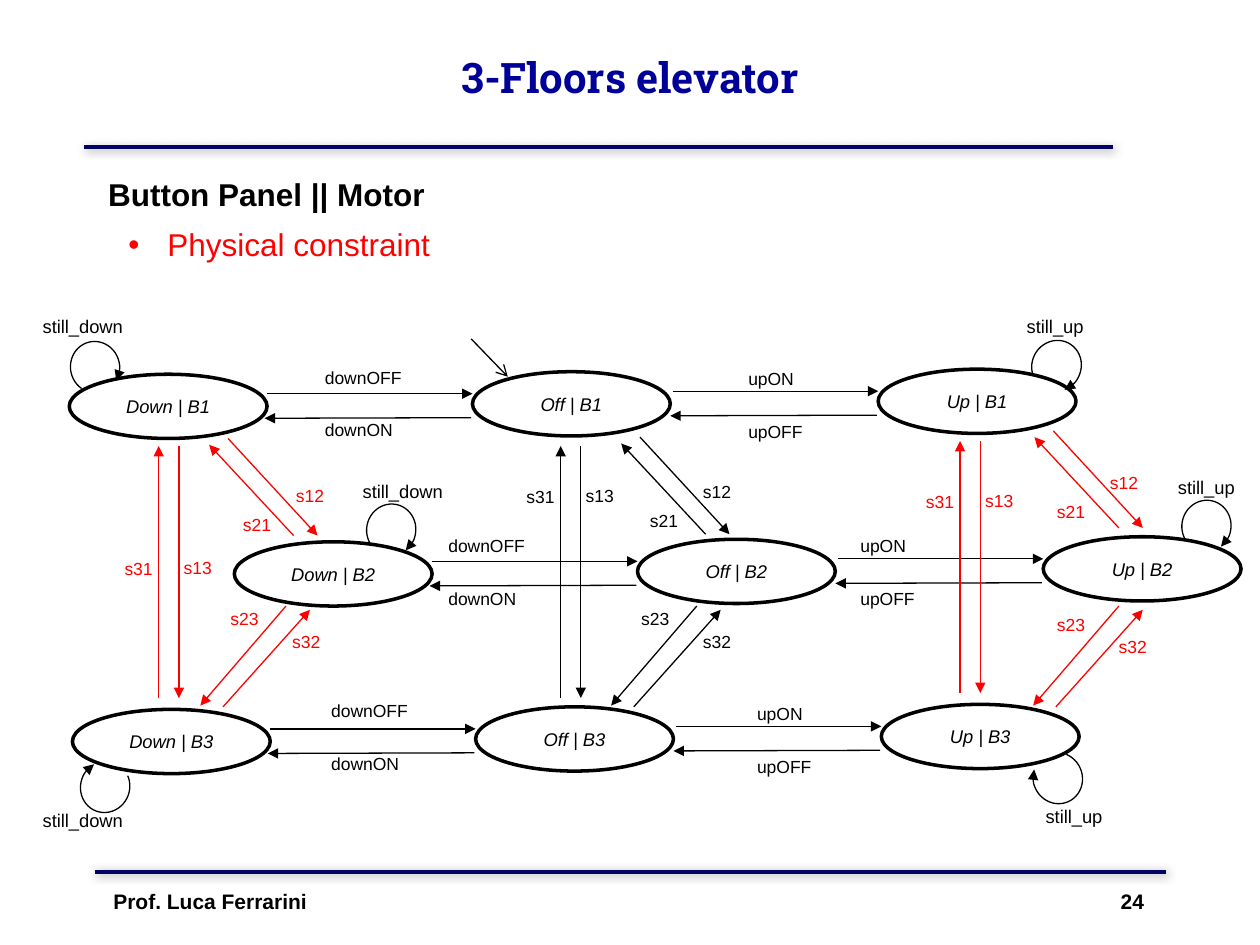
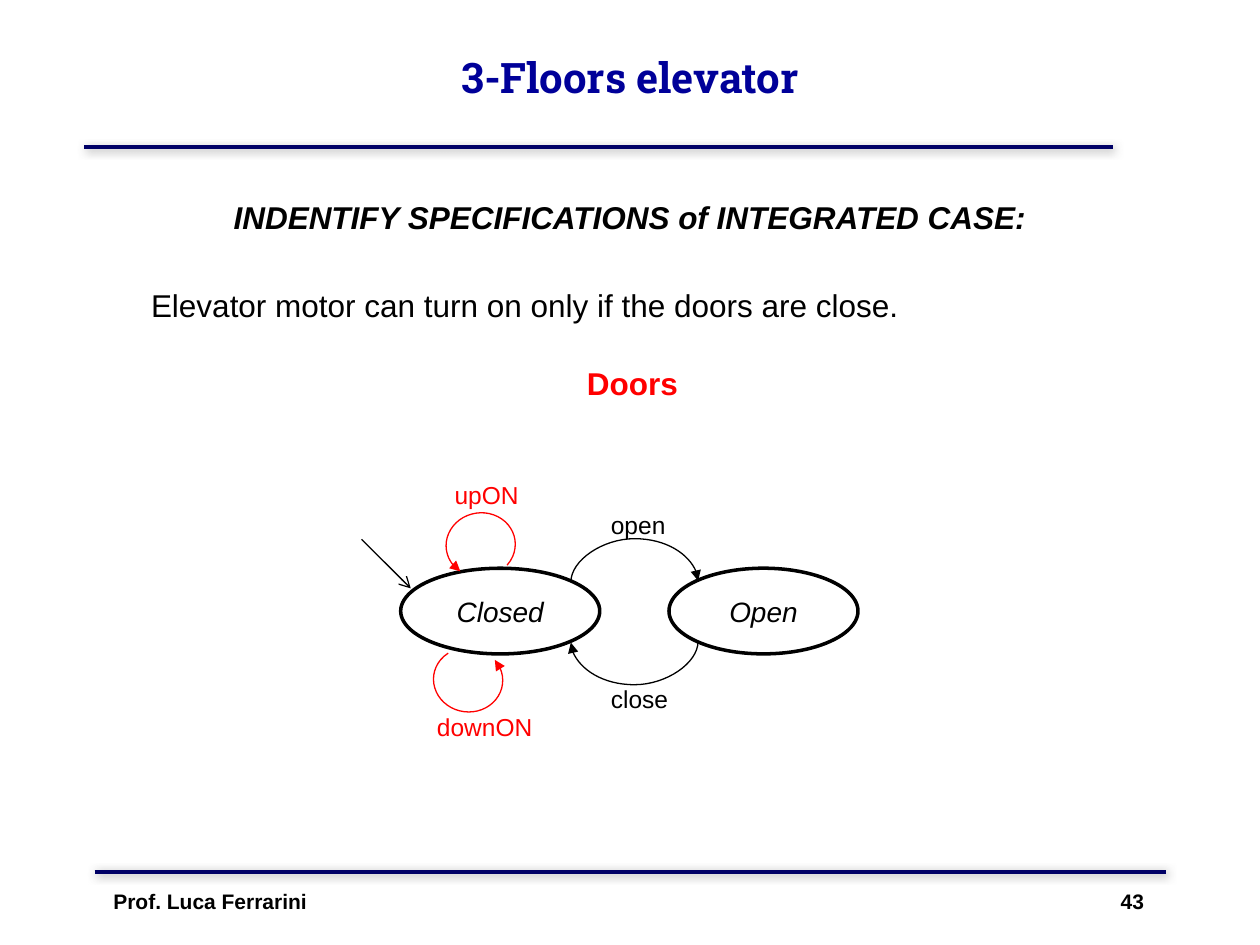
from lxml.etree import SubElement
from pptx import Presentation
from pptx.dml.color import RGBColor
from pptx.enum.shapes import MSO_CONNECTOR as Connector, MSO_SHAPE as Preset
from pptx.enum.text import MSO_ANCHOR as Anchor, PP_ALIGN as Align
from pptx.oxml.ns import qn
from pptx.util import Inches, Pt

WIDTH, HEIGHT = Inches(10), Inches(7.5)
COLUMNS, ROWS = 100, 75
BLACK, RED, WHITE = "000000", "FF0000", "FFFFFF"
NAVY, TITLE_BLUE, GREY = "000066", "000099", "808080"
BODY_FONT, TITLE_FONT = "Arial", "Roboto Slab"
TITLE = "3-Floors elevator"
AUTHOR = "Prof. Luca Ferrarini"

STATE_SIZE = (15.7, 5.1)
MOTOR_STATES = [
    ("Down", (5.5, 29.7), RED),
    ("Off", (37.5, 29.5), BLACK),
    ("Up", (69.7, 29.3), RED),
]
FLOOR_SHIFTS = [(0, 0), (13.1, 13.3), (0.25, 26.6)]

SWITCHES = [
    (1, ("downOFF", "downON"), [(24.8, 28.6), (34.6, 42), (25.3, 55.1)]),
    (2, ("upON", "upOFF"), [(58.4, 28.7), (67.3, 42), (59.1, 55.3)]),
]

FLOOR_MOVES = [
    {"names": ("s31", "s13"),
     "arrows": [((12.6, 55.4), (12.6, 35.4)), ((14.2, 35.4), (14.2, 55.4))],
     "shifts": [(0, 0), (31.9, 0), (63.6, -0.4)],
     "labels": [(8.9, 43.8), (40.8, 38.1), (72.5, 38.5)],
     "second_label": (4.7, -0.1), "label_width": 5},
    {"names": ("s12", "s21"),
     "arrows": [((18.1, 34.8), (25.2, 42.5)), ((23.3, 42.5), (16.6, 35.3))],
     "shifts": [(0, 0), (32.7, -0.1), (65.5, -0.6)],
     "labels": [(22.5, 38), (54.8, 37.7), (87.1, 37)],
     "second_label": (-4.2, 2.3), "label_width": 9.5},
    {"names": ("s23", "s32"),
     "arrows": [((22.7, 48.1), (15.9, 56)), ((17.7, 56.1), (24.6, 48.4))],
     "shifts": [(0, 0), (32.6, 0), (66.1, 0)],
     "labels": [(17.3, 47.8), (49.9, 47.8), (82.9, 48.2)],
     "second_label": (4.9, 1.8), "label_width": 9.5},
]

STILL_LOOPS = [
    ("still_down", (5.6, 27.1), 348.2, (2.4, 24.5)),
    ("still_down", (29.1, 40), 10.9, (27.8, 37.6)),
    ("still_down", (6.4, 60.4), 199.8, (2.4, 63.7)),
    ("still_up", (81.9, 27), 27.4, (80.5, 24.5)),
    ("still_up", (93.8, 39.7), 10.9, (92.5, 37.3)),
    ("still_up", (82, 59.7), 156.1, (82, 63.4)),
]


def across(columns):
    return round(WIDTH * columns / COLUMNS)


def down(rows):
    return round(HEIGHT * rows / ROWS)


def color(value):
    return RGBColor.from_string(value)


def shifted(point, shift):
    return point[0] + shift[0], point[1] + shift[1]


def box(place, size):
    return across(place[0]), down(place[1]), across(size[0]), down(size[1])


def add_run(paragraph, text, size, ink=BLACK, bold=False, italic=False, font=BODY_FONT):
    run = paragraph.add_run()
    run.text = text
    run.font.name, run.font.size = font, Pt(size)
    run.font.bold, run.font.italic = bold, italic
    run.font.color.rgb = color(ink)


def add_text(slide, text, place, size, points, align=Align.LEFT, **style):
    shape = slide.shapes.add_textbox(*box(place, size))
    shape.text_frame.word_wrap = True
    paragraph = shape.text_frame.paragraphs[0]
    paragraph.alignment = align
    add_run(paragraph, text, points, **style)
    return shape


def add_label(slide, text, place, ink=BLACK, points=10, width=9.5):
    add_text(slide, text, place, (width, 2.8), points, ink=ink)


def style_line(shape, ink, points, head=None, tail=None):
    shape.line.color.rgb = color(ink)
    shape.line.width = Pt(points)
    line = shape._element.spPr.find(qn("a:ln"))
    for end, kind in (("a:headEnd", head), ("a:tailEnd", tail)):
        if kind:
            SubElement(line, qn(end), type=kind)


def add_line(slide, start, end, ink=BLACK, points=0.75, tail=None, kind=Connector.STRAIGHT):
    line = slide.shapes.add_connector(
        kind, across(start[0]), down(start[1]), across(end[0]), down(end[1]))
    style_line(line, ink, points, tail=tail)
    effects = SubElement(line._element.spPr, qn("a:effectLst"))
    return line, effects


def add_rule(slide, left, right, row):
    effects = add_line(slide, (left, row), (right, row), NAVY, 2.25)[1]
    shadow = SubElement(effects, qn("a:outerShdw"), blurRad=str(Pt(5)),
                        dist=str(Pt(1.4)), dir=str(45 * 60000), rotWithShape="0")
    tint = SubElement(shadow, qn("a:srgbClr"), val=GREY)
    SubElement(tint, qn("a:alpha"), val="75000")


def add_arrow(slide, start, end, ink=BLACK, tail="triangle"):
    add_line(slide, start, end, ink, tail=tail)


def add_state(slide, text, place, size, points):
    shape = slide.shapes.add_shape(Preset.OVAL, *box(place, size))
    shape.shadow.inherit = False
    shape.fill.solid()
    shape.fill.fore_color.rgb = color(WHITE)
    style_line(shape, BLACK, 2)
    frame = shape.text_frame
    frame.vertical_anchor = Anchor.MIDDLE
    frame.paragraphs[0].alignment = Align.CENTER
    add_run(frame.paragraphs[0], text, points, italic=True)
    return shape


def add_loop(slide, place, size, turn, ink=BLACK, mirrored=False):
    shape = slide.shapes.add_shape(Preset.ARC, *box(place, size))
    shape.shadow.inherit = False
    shape.adjustments[0], shape.adjustments[1] = 81.6, 27.6
    shape.rotation = turn
    if mirrored:
        shape._element.spPr.xfrm.set("flipH", "1")
    shape.fill.background()
    style_line(shape, ink, 0.75, head="triangle")


def add_curve(slide, source, source_site, target, target_site, start, end):
    line = add_line(slide, start, end, tail="triangle", kind=Connector.CURVE)[0]
    line._connect_begin_to(source, source_site)
    line._connect_end_to(target, target_site)
    properties = line._element.spPr
    properties.xfrm.set("rot", str(90 * 60000))
    geometry = properties.find(qn("a:prstGeom"))
    values = geometry.find(qn("a:avLst"))
    if values is None:
        values = SubElement(geometry, qn("a:avLst"))
    SubElement(values, qn("a:gd"), name="adj1", fmla="val 3500000")


def add_footer(slide, number):
    shape = slide.shapes.add_textbox(*box((3.3, 70), (93.3, 5)))
    frame = shape.text_frame
    frame.word_wrap = True
    frame.margin_left = across(5.7)
    paragraph = frame.paragraphs[0]
    tabs = SubElement(paragraph._p.get_or_add_pPr(), qn("a:tabLst"))
    SubElement(tabs, qn("a:tab"), pos=str(across(81.8)), algn="r")
    add_run(paragraph, f"{AUTHOR}\t{number}", 12, bold=True)


def add_slide(presentation, number):
    slide = presentation.slides.add_slide(presentation.slide_layouts[6])
    add_rule(slide, 6.7, 88.3, 11.7)
    add_rule(slide, 7.5, 92.5, 69.2)
    add_footer(slide, number)
    title = add_text(slide, TITLE, (7.5, -0.2), (85, 12.5), 24, Align.CENTER,
                     ink=TITLE_BLUE, bold=True, font=TITLE_FONT)
    title.text_frame.vertical_anchor = Anchor.MIDDLE
    return slide


def add_bullet(slide, text, place, size):
    shape = slide.shapes.add_textbox(*box(place, size))
    shape.text_frame.word_wrap = True
    paragraph = shape.text_frame.paragraphs[0]
    properties = paragraph._p.get_or_add_pPr()
    properties.set("marL", str(across(3.1)))
    properties.set("indent", str(-across(3.1)))
    SubElement(properties, qn("a:buFont"), typeface=BODY_FONT)
    SubElement(properties, qn("a:buChar"), char="•")
    add_run(paragraph, text, 18, RED)


def add_switches(slide):
    for target, names, labels in SWITCHES:
        corner = MOTOR_STATES[target][1]
        for shift, label in zip(FLOOR_SHIFTS, labels):
            left, top = shifted(corner, shift)
            add_arrow(slide, (left - 16.3, top + 1.75), (left, top + 1.75))
            add_arrow(slide, (left - 0.1, top + 3.65), (left - 16.5, top + 3.7))
            for name, drop in zip(names, (0, 4.2)):
                add_label(slide, name, shifted(label, (0, drop)))


def add_floor_moves(slide):
    inks = [ink for _, _, ink in MOTOR_STATES]
    for move in FLOOR_MOVES:
        for ink, shift, label in zip(inks, move["shifts"], move["labels"]):
            for start, end in move["arrows"]:
                add_arrow(slide, shifted(start, shift), shifted(end, shift), ink)
            for name, offset in zip(move["names"], ((0, 0), move["second_label"])):
                add_label(slide, name, shifted(label, offset), ink, width=move["label_width"])


def build_motor_slide(presentation):
    slide = add_slide(presentation, 24)
    add_text(slide, "Button Panel || Motor", (7.6, 13.4), (84.8, 4), 18, bold=True)
    add_bullet(slide, "Physical constraint", (9.2, 17.4), (46.8, 4))
    add_arrow(slide, (37.4, 26.9), (40.3, 29.9), tail="arrow")
    for floor, shift in enumerate(FLOOR_SHIFTS, 1):
        for name, corner, _ in MOTOR_STATES:
            add_state(slide, f"{name} | B{floor}", shifted(corner, shift), STATE_SIZE, 10.5)
    add_switches(slide)
    add_floor_moves(slide)
    for name, place, turn, label in STILL_LOOPS:
        add_loop(slide, place, (3.9, 4.1), turn, mirrored=True)
        add_label(slide, name, label, points=10.5)


def build_doors_slide(presentation):
    slide = add_slide(presentation, 43)
    add_text(slide, "INDENTIFY SPECIFICATIONS of INTEGRATED CASE:", (6.8, 15.2), (86.4, 4),
             18, Align.CENTER, bold=True, italic=True)
    rule = add_text(slide, "Elevator motor can turn on only if the doors are close.",
                    (11, 19.2), (77.9, 6.1), 18)
    rule.text_frame.paragraphs[0].line_spacing = 2.0
    add_text(slide, "Doors", (45.6, 28.4), (26.9, 4), 18, ink=RED, bold=True)

    closed = add_state(slide, "Closed", (31.8, 45.1), (15.8, 6.8), 16)
    opened = add_state(slide, "Open", (53.1, 45.1), (15, 6.8), 16)
    add_arrow(slide, (28.7, 42.8), (32.6, 46.7), tail="arrow")
    add_curve(slide, closed, 7, opened, 1, (50.4, 51.2), (50.3, 41.1))
    add_curve(slide, opened, 3, closed, 5, (50.3, 45.9), (50.4, 56))
    add_loop(slide, (35.4, 40.7), (5.5, 5.1), 351.5, RED)
    add_loop(slide, (34.4, 51.4), (5.5, 5.1), 187.3, RED)
    for name, place, ink in (("open", (47.5, 40), BLACK), ("close", (47.5, 53.8), BLACK),
                             ("upON", (35.1, 37.6), RED), ("downON", (33.7, 56), RED)):
        add_text(slide, name, place, (10, 3.4), 14, ink=ink)


def main():
    presentation = Presentation()
    presentation.slide_width, presentation.slide_height = WIDTH, HEIGHT
    build_motor_slide(presentation)
    build_doors_slide(presentation)
    presentation.save("out.pptx")


if __name__ == "__main__":
    main()
